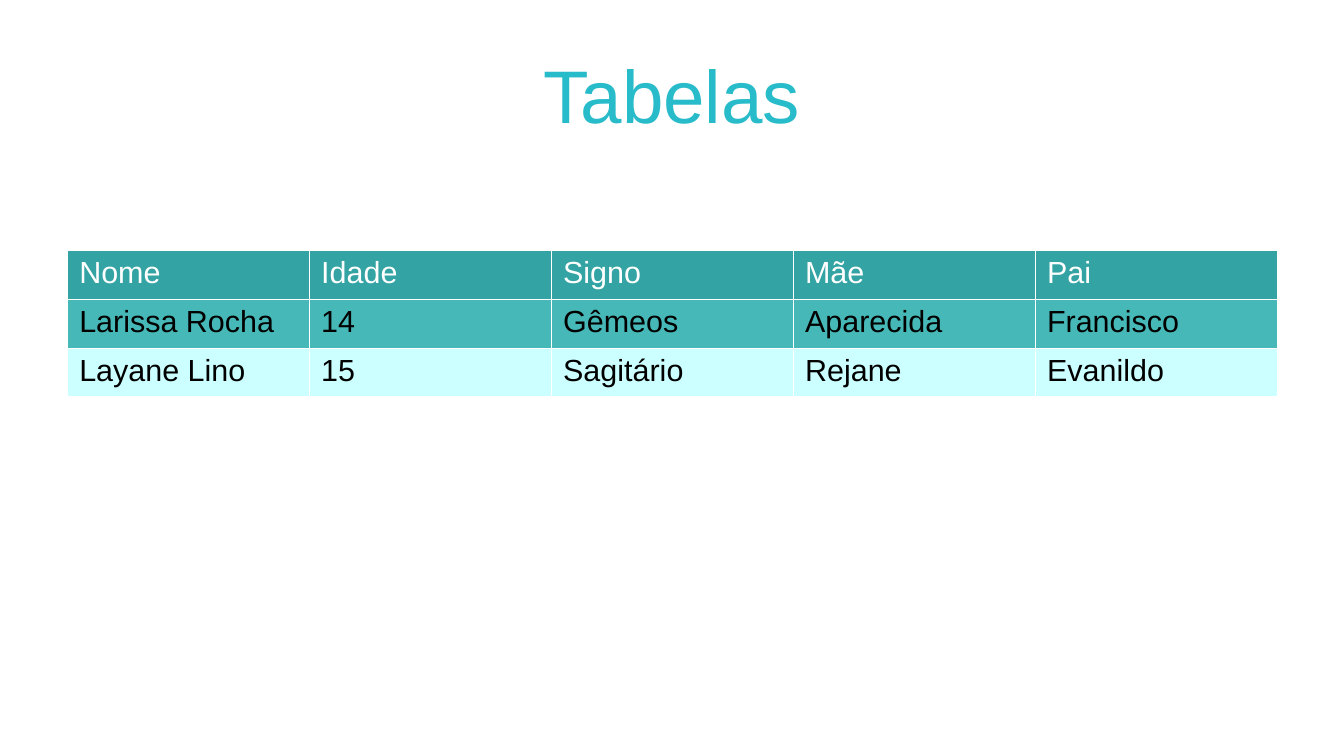
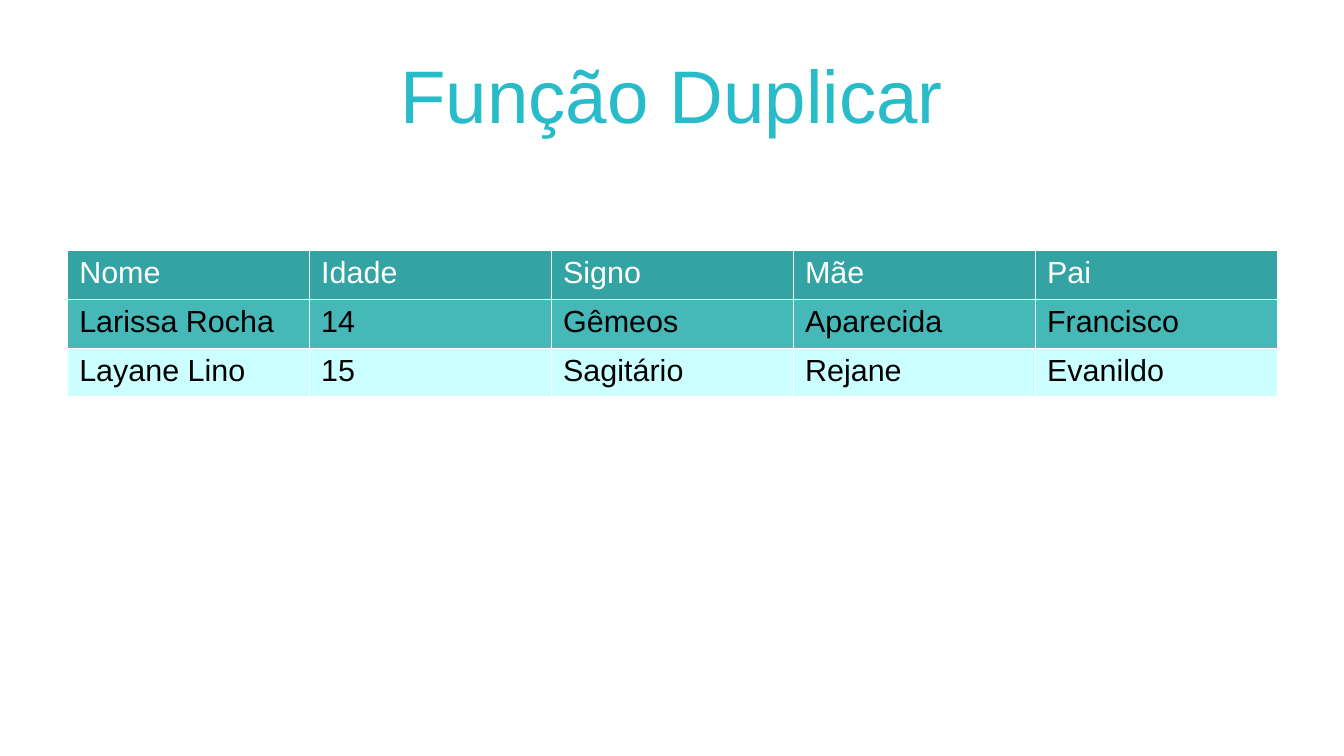
from lxml import etree
from pptx import Presentation
from pptx.dml.color import RGBColor
from pptx.enum.text import MSO_ANCHOR, MSO_AUTO_SIZE, PP_ALIGN
from pptx.oxml.ns import qn
from pptx.util import Inches, Pt

CENTER = PP_ALIGN.CENTER
MIDDLE = MSO_ANCHOR.MIDDLE
GROW = MSO_AUTO_SIZE.SHAPE_TO_FIT_TEXT
TITLE_ONLY = 5

COLORS = {
    "title": "28BBC9",
    "head": "33A3A3",
    "odd": "47B8B8",
    "even": "CCFFFF",
    "white": "FFFFFF",
    "black": "000000",
}
LEFT, WIDTH = 0.55, 9.92
TITLES = ["Tabelas", "Função Duplicar"]
ROWS = [
    ["Nome", "Idade", "Signo", "Mãe", "Pai"],
    ["Larissa Rocha", "14", "Gêmeos", "Aparecida", "Francisco"],
    ["Layane Lino", "15", "Sagitário", "Rejane", "Evanildo"],
]


class Deck:
    """Hold the shared style and the current slide."""

    font = "Arial"

    def __init__(self):
        self.prs = Presentation()
        self.prs.slide_width = Inches(11.02)
        self.prs.slide_height = Inches(6.2)
        self.slide = None

    def color(self, name):
        return RGBColor.from_string(COLORS[name])

    def add_slide(self):
        layout = self.prs.slide_layouts[TITLE_ONLY]
        self.slide = self.prs.slides.add_slide(layout)
        back = self.slide.background.fill
        back.solid()
        back.fore_color.rgb = self.color("white")

    def text(self, para, text, size, color):
        run = para.add_run()
        run.text = text
        run.font.name = self.font
        run.font.size = Pt(size)
        run.font.color.rgb = self.color(color)

    def title(self, text):
        shape = self.slide.shapes.title
        shape.left, shape.top = Inches(LEFT), Inches(0.25)
        shape.width, shape.height = Inches(WIDTH), Inches(1.04)
        frame = shape.text_frame
        frame.margin_left = frame.margin_right = 0
        frame.margin_top = frame.margin_bottom = 0
        frame.word_wrap = True
        frame.auto_size = GROW
        frame.vertical_anchor = MIDDLE
        para = frame.paragraphs[0]
        para.alignment = CENTER
        self.text(para, text, 44, "title")

    def border(self, cell):
        props = cell._tc.get_or_add_tcPr()
        for spot, side in enumerate(("lnL", "lnR", "lnT", "lnB")):
            line = etree.Element(qn(f"a:{side}"), w=str(Pt(0.06)))
            fill = etree.SubElement(line, qn("a:solidFill"))
            etree.SubElement(fill, qn("a:srgbClr"), val=COLORS["white"])
            props.insert(spot, line)

    def cell(self, cell, text, fill, ink):
        cell.fill.solid()
        cell.fill.fore_color.rgb = self.color(fill)
        self.text(cell.text_frame.paragraphs[0], text, 18, ink)
        self.border(cell)

    def table(self, rows, top, high):
        count = len(rows[0])
        frame = self.slide.shapes.add_table(
            len(rows), count, Inches(LEFT), Inches(top),
            Inches(WIDTH), Inches(high * len(rows)))
        grid = frame.table
        for col in grid.columns:
            col.width = Inches(WIDTH / count)
        for i, row in enumerate(rows):
            grid.rows[i].height = Inches(high)
            fill = "head" if i == 0 else "odd" if i % 2 else "even"
            ink = "black" if i else "white"
            for j, text in enumerate(row):
                self.cell(grid.cell(i, j), text, fill, ink)


def main():
    deck = Deck()
    for title in TITLES:
        deck.add_slide()
        deck.title(title)
        deck.table(ROWS, 2.05, 0.38)
    deck.prs.save("out.pptx")


if __name__ == "__main__":
    main()
